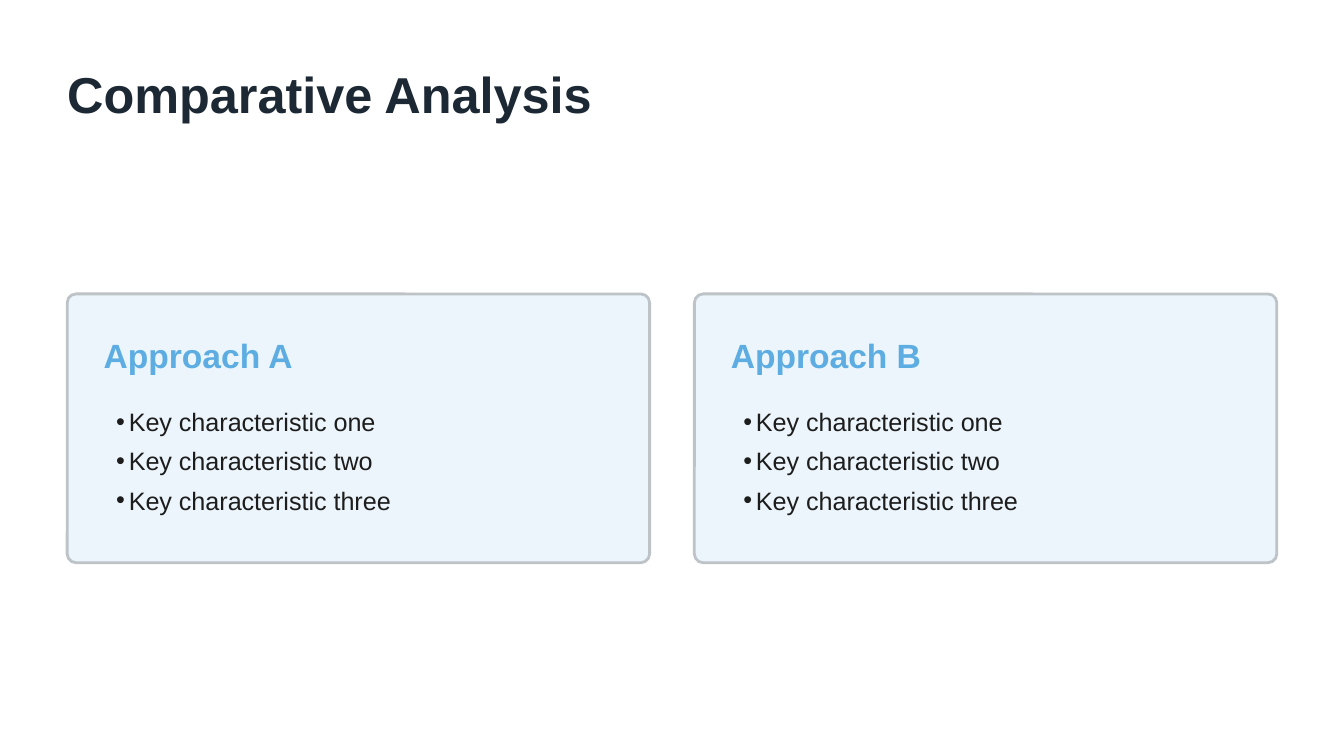
from lxml.etree import SubElement
from pptx import Presentation
from pptx.dml.color import RGBColor
from pptx.enum.shapes import MSO_SHAPE
from pptx.enum.text import MSO_ANCHOR, MSO_AUTO_SIZE, PP_ALIGN
from pptx.oxml.ns import qn
from pptx.util import Pt

FONT = "Arial"
NAVY = RGBColor(0x1C, 0x28, 0x33)
SKY = RGBColor(0x5D, 0xAD, 0xE2)
INK = RGBColor(0x1D, 0x1D, 0x1D)
CARD_FILL = RGBColor(0xEB, 0xF5, 0xFB)
CARD_LINE = RGBColor(0xBD, 0xC3, 0xC7)

MARGIN = 36
CARD_TOP, CARD_WIDTH, CARD_HEIGHT = 157.5, 312, 144
CARD_GAP = 24
PADDING = 19.5
BULLET_INDENT = 6.75
CHARACTERISTICS = [f"Key characteristic {number}" for number in ("one", "two", "three")]
APPROACHES = ["Approach A", "Approach B"]


def fill_placeholder(placeholder, box, text, size, line_height, color, bold=False):
    placeholder.left, placeholder.top, placeholder.width, placeholder.height = map(Pt, box)
    frame = placeholder.text_frame
    frame.text = text
    frame.word_wrap = True
    frame.auto_size = MSO_AUTO_SIZE.NONE
    frame.vertical_anchor = MSO_ANCHOR.TOP
    frame.margin_left = frame.margin_top = frame.margin_right = frame.margin_bottom = 0
    for paragraph in frame.paragraphs:
        paragraph.alignment = PP_ALIGN.LEFT
        paragraph.line_spacing = Pt(line_height)
        paragraph.space_before = paragraph.space_after = Pt(0)
        for run in paragraph.runs:
            run.font.name = FONT
            run.font.size = Pt(size)
            run.font.bold = bold
            run.font.color.rgb = color


def add_bullets(text_frame):
    text_frame.margin_left = Pt(BULLET_INDENT)
    for paragraph in text_frame.paragraphs:
        properties = paragraph._p.get_or_add_pPr()
        properties.set("marL", str(Pt(BULLET_INDENT)))
        properties.set("indent", str(-Pt(BULLET_INDENT)))
        SubElement(properties, qn("a:buChar")).set("char", "•")


def add_card(slide, box, heading, body, title, items):
    """Draw a card behind its heading and list placeholders."""
    left, top, width, height = box
    card = slide.shapes.add_shape(MSO_SHAPE.ROUNDED_RECTANGLE, *map(Pt, box))
    card.adjustments[0] = 0.033
    card.shadow.inherit = False
    card.fill.solid()
    card.fill.fore_color.rgb = CARD_FILL
    card.line.color.rgb = CARD_LINE
    card.line.width = Pt(1.5)
    heading._element.addprevious(card._element)

    inner_left, inner_width = left + PADDING, width - 2 * PADDING
    fill_placeholder(heading, (inner_left, top + PADDING, inner_width, 24),
                     title, 18, 24, SKY, bold=True)
    fill_placeholder(body, (inner_left, top + 55.5, inner_width, height - 75),
                     "\n".join(items), 13.5, 21, INK)
    add_bullets(body.text_frame)


def build_comparison(presentation):
    slide = presentation.slides.add_slide(presentation.slide_layouts.get_by_name("Comparison"))
    title, *parts = slide.placeholders
    fill_placeholder(title, (MARGIN, MARGIN, 648, 30),
                     "Comparative Analysis", 27, 30, NAVY, bold=True)
    for index, approach in enumerate(APPROACHES):
        left = MARGIN + index * (CARD_WIDTH + CARD_GAP)
        heading, body = parts[2 * index:2 * index + 2]
        add_card(slide, (left, CARD_TOP, CARD_WIDTH, CARD_HEIGHT),
                 heading, body, approach, CHARACTERISTICS)


def main():
    presentation = Presentation()
    presentation.slide_width, presentation.slide_height = Pt(720), Pt(405)
    build_comparison(presentation)
    presentation.save("out.pptx")


if __name__ == "__main__":
    main()
